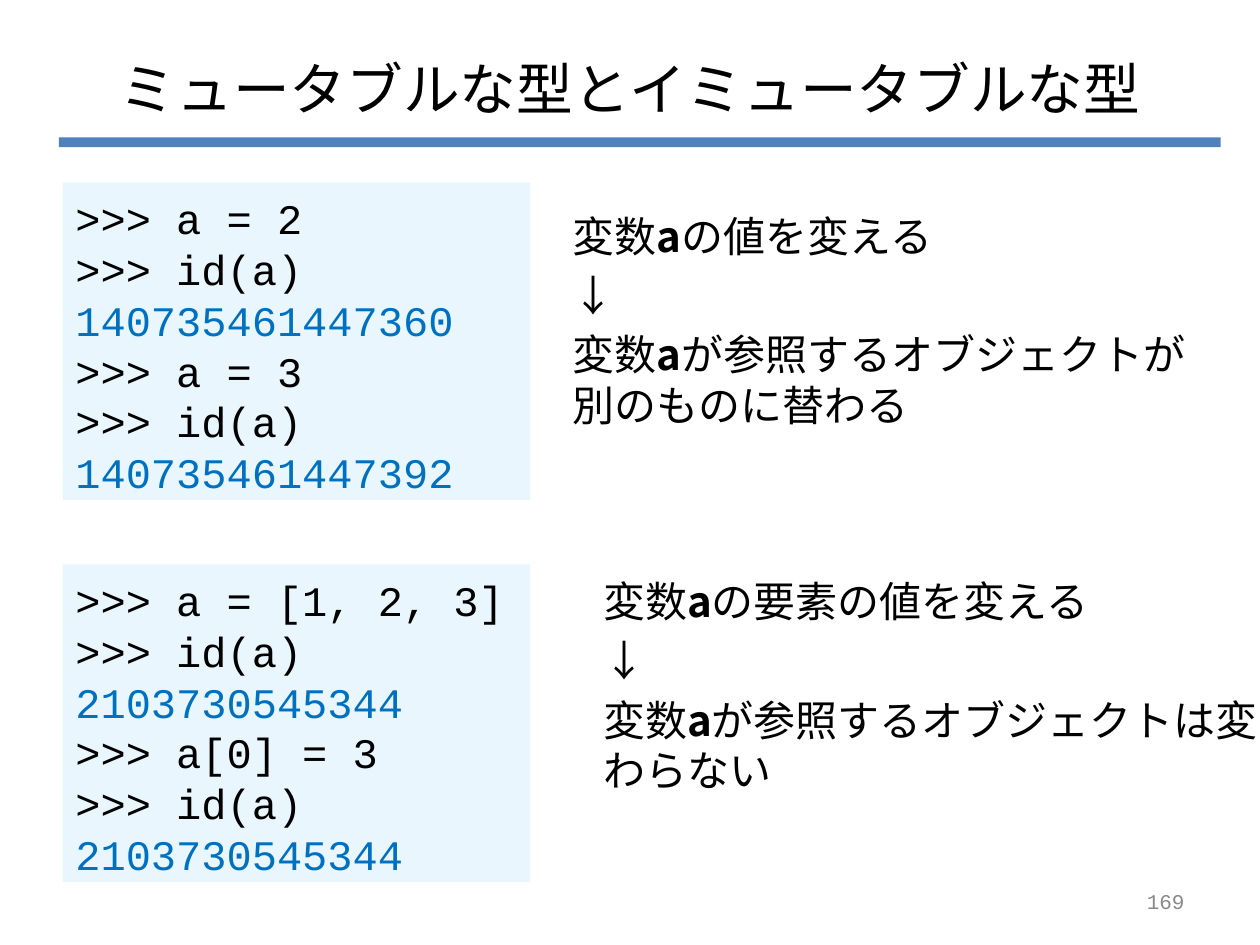
from lxml import etree
from pptx import Presentation
from pptx.dml.color import RGBColor
from pptx.enum.shapes import MSO_SHAPE
from pptx.enum.text import MSO_ANCHOR, PP_ALIGN
from pptx.oxml.ns import qn
from pptx.util import Cm, Pt

RECTANGLE = MSO_SHAPE.RECTANGLE
TOP, MIDDLE = MSO_ANCHOR.TOP, MSO_ANCHOR.MIDDLE
LEFT, CENTER, RIGHT = PP_ALIGN.LEFT, PP_ALIGN.CENTER, PP_ALIGN.RIGHT
TITLE_ONLY = 5

COLORS = {"text": "000000", "output": "0070C0", "code": "EAF6FD",
          "rule": "4F81BD", "number": "898989"}
MONO, SANS, JAPANESE = "Courier New", "Arial", "Noto Sans CJK JP"
LINE_SPACING = Pt(29)

EXAMPLES = [
    {"top": 3.68,
     "code": [">>> a = 2", ">>> id(a)", "140735461447360",
              ">>> a = 3", ">>> id(a)", "140735461447392"],
     "note_box": (11.3, 4.04, 13.41, 5.69),
     "note": [["変数", "a", "の値を変える"], ["↓"],
              ["変数", "a", "が参照するオブジェクトが別のものに替わる"]]},
    {"top": 11.38,
     "code": [">>> a = [1, 2, 3]", ">>> id(a)", "2103730545344",
              ">>> a[0] = 3", ">>> id(a)", "2103730545344"],
     "note_box": (11.91, 11.4, 13.79, 5.05),
     "note": [["変数", "a", "の要素の値を変える"], ["↓"],
              ["変数", "a", "が参照するオブジェクトは変わらない"]]},
]


def add_run(paragraph, text, size, font_name, color="text", bold=False):
    run = paragraph.add_run()
    run.text = text
    font = run.font
    font.size, font.bold, font.name = Pt(size), bold, font_name
    font.color.rgb = RGBColor.from_string(COLORS[color])
    east_asian = etree.SubElement(font._element, qn("a:ea"))
    east_asian.set("typeface", JAPANESE)


def prepare_frame(shape, anchor=TOP, top_margin=0.13):
    frame = shape.text_frame
    frame.word_wrap = True
    frame.vertical_anchor = anchor
    frame.margin_left = frame.margin_right = Cm(0.25)
    frame.margin_top, frame.margin_bottom = Cm(top_margin), Cm(0.13)
    return frame


def add_paragraphs(frame, count):
    """Yield the frame's first paragraph, then new ones up to count."""
    for index in range(count):
        yield frame.add_paragraph() if index else frame.paragraphs[0]


def add_rectangle(slide, box, color):
    shape = slide.shapes.add_shape(RECTANGLE, *map(Cm, box))
    shape.shadow.inherit = False
    shape.fill.solid()
    shape.fill.fore_color.rgb = RGBColor.from_string(COLORS[color])
    shape.line.fill.background()
    return shape


def set_title(slide, text):
    title = slide.shapes.title
    title.left, title.top, title.width, title.height = map(
        Cm, (1.27, 0.76, 22.86, 2.01))
    paragraph = prepare_frame(title, MIDDLE).paragraphs[0]
    paragraph.alignment = CENTER
    add_run(paragraph, text, 32.4, SANS)


def add_code(slide, top, lines):
    shape = add_rectangle(slide, (1.27, top, 9.42, 6.4), "code")
    frame = prepare_frame(shape, top_margin=0.2)
    for paragraph, line in zip(add_paragraphs(frame, len(lines)), lines):
        paragraph.alignment = LEFT
        paragraph.line_spacing = LINE_SPACING
        color = "text" if line.startswith(">>>") else "output"
        add_run(paragraph, line, 24, MONO, color)


def add_note(slide, box, lines):
    """Add an explanation in which the variable name is bold."""
    shape = slide.shapes.add_textbox(*map(Cm, box))
    frame = prepare_frame(shape, top_margin=0.2)
    for index, paragraph in enumerate(add_paragraphs(frame, len(lines))):
        paragraph.line_spacing = LINE_SPACING
        if index:
            paragraph.space_before = Pt(4.8)
        for text in lines[index]:
            add_run(paragraph, text, 24, JAPANESE, bold=text == "a")


def add_page_number(slide, number):
    shape = slide.shapes.add_textbox(Cm(18.21), Cm(17.65), Cm(5.92), Cm(1.02))
    paragraph = prepare_frame(shape, MIDDLE).paragraphs[0]
    paragraph.alignment = RIGHT
    add_run(paragraph, number, 12, MONO, "number")


def main():
    presentation = Presentation()
    presentation.slide_width, presentation.slide_height = Cm(25.4), Cm(19.05)
    slide = presentation.slides.add_slide(
        presentation.slide_layouts[TITLE_ONLY])
    add_rectangle(slide, (1.19, 2.77, 23.42, 0.2), "rule")
    set_title(slide, "ミュータブルな型とイミュータブルな型")
    for example in EXAMPLES:
        add_code(slide, example["top"], example["code"])
        add_note(slide, example["note_box"], example["note"])
    add_page_number(slide, "169")
    presentation.save("out.pptx")


if __name__ == "__main__":
    main()
